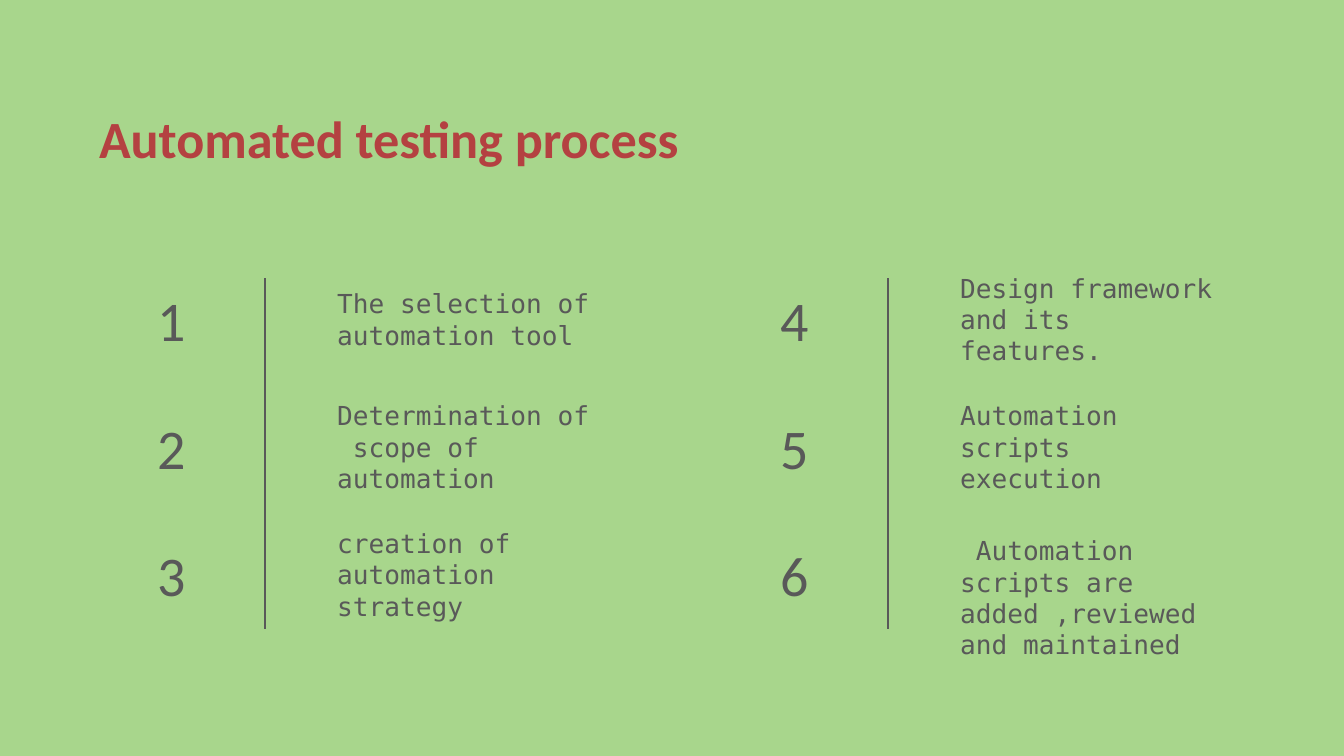
from dataclasses import dataclass

import pptx
import pptx.dml.color
import pptx.enum.shapes
import pptx.enum.text
import pptx.oxml.xmlchemy
import pptx.util

Pt = pptx.util.Pt
RGB = pptx.dml.color.RGBColor.from_string
ALIGN = pptx.enum.text.PP_ALIGN
ANCHOR = pptx.enum.text.MSO_ANCHOR


@dataclass(frozen=True)
class Theme:
    background: str = "A8D68C"
    title: str = "B44141"
    ink: str = "595959"
    heading_font: str = "Calibri"
    step_font: str = "DejaVu Sans Mono"
    title_size: float = 28
    number_size: float = 30
    step_size: float = 14
    rule_width: float = 1.5


THEME = Theme()

COLUMN_LEFT = 62.6
COLUMN_PITCH = 333.7
ROW_TOP = 149
ROW_PITCH = 68.4
ROW_HEIGHT = 44
TALL_ROW_HEIGHT = 68.4
NUMBER_WIDTH = 58.3
RULE_OFFSET = 79.4
RULE_HEIGHT = 188
STEP_OFFSET = 111
STEP_WIDTH = 155.5

COLUMNS = [
    [
        ["The selection of automation tool"],
        ["Determination of  scope of automation"],
        ["creation of automation strategy"],
    ],
    [
        ["Design framework and its features."],
        ["Automation scripts execution"],
        [" Automation", "scripts are added ,reviewed and maintained"],
    ],
]


def add_text(slide, lines, left, top, width, height, *, font, size, color,
             bold=False, align=ALIGN.LEFT, anchor=ANCHOR.MIDDLE, spacing=1.0):
    box = slide.shapes.add_textbox(Pt(left), Pt(top), Pt(width), Pt(height))
    frame = box.text_frame
    frame.word_wrap = True
    frame.vertical_anchor = anchor
    frame.margin_left = frame.margin_right = Pt(7.2)
    frame.margin_top = frame.margin_bottom = Pt(7.2)
    for index, line in enumerate(lines):
        paragraph = frame.paragraphs[0] if index == 0 else frame.add_paragraph()
        paragraph.alignment = align
        paragraph.line_spacing = spacing
        run = paragraph.add_run()
        run.text = line
        run.font.name = font
        run.font.size = Pt(size)
        run.font.bold = bold
        run.font.color.rgb = RGB(color)


def add_rule(slide, left, top, height):
    """Draw the vertical line between the numbers and the steps."""
    rule = slide.shapes.add_connector(
        pptx.enum.shapes.MSO_CONNECTOR.STRAIGHT,
        Pt(left), Pt(top), Pt(left), Pt(top + height))
    rule.line.color.rgb = RGB(THEME.ink)
    rule.line.width = Pt(THEME.rule_width)
    properties = rule._element.spPr
    properties.append(pptx.oxml.xmlchemy.OxmlElement("a:effectLst"))


def add_step(slide, number, lines, left, top):
    add_text(slide, [str(number)], left, top, NUMBER_WIDTH, ROW_HEIGHT,
             font=THEME.heading_font, size=THEME.number_size,
             color=THEME.ink, align=ALIGN.CENTER)
    height = TALL_ROW_HEIGHT if len(lines) > 1 else ROW_HEIGHT
    add_text(slide, lines, left + STEP_OFFSET, top, STEP_WIDTH, height,
             font=THEME.step_font, size=THEME.step_size, color=THEME.ink)


def main():
    deck = pptx.Presentation()
    deck.slide_width, deck.slide_height = Pt(720), Pt(405)
    slide = deck.slides.add_slide(deck.slide_layouts[6])
    slide.background.fill.solid()
    slide.background.fill.fore_color.rgb = RGB(THEME.background)

    add_text(slide, ["Automated testing process"], 46, 56.2, 332.6, 74.2,
             font=THEME.heading_font, size=THEME.title_size,
             color=THEME.title, bold=True, anchor=ANCHOR.TOP, spacing=0.8)

    number = 1
    for column, steps in enumerate(COLUMNS):
        left = COLUMN_LEFT + column * COLUMN_PITCH
        add_rule(slide, left + RULE_OFFSET, ROW_TOP, RULE_HEIGHT)
        for row, lines in enumerate(steps):
            add_step(slide, number, lines, left, ROW_TOP + row * ROW_PITCH)
            number += 1

    deck.save("out.pptx")


if __name__ == "__main__":
    main()
